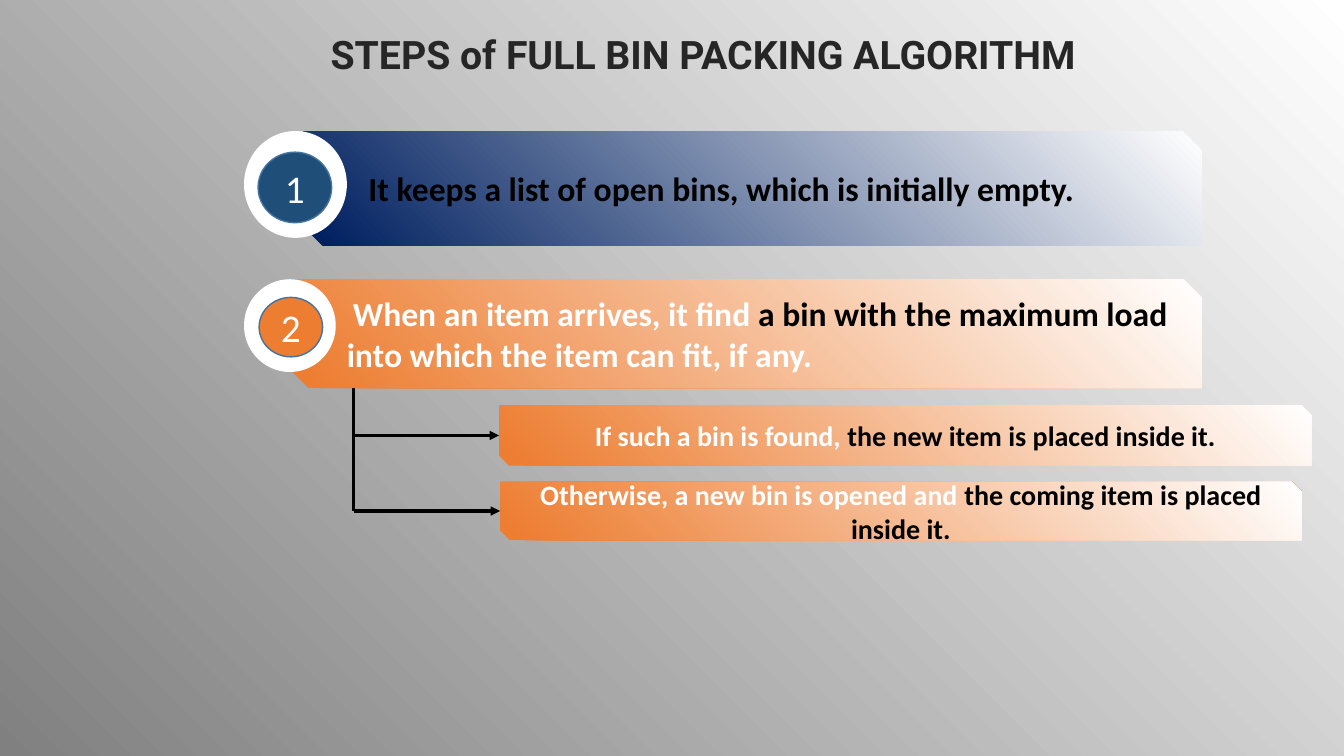
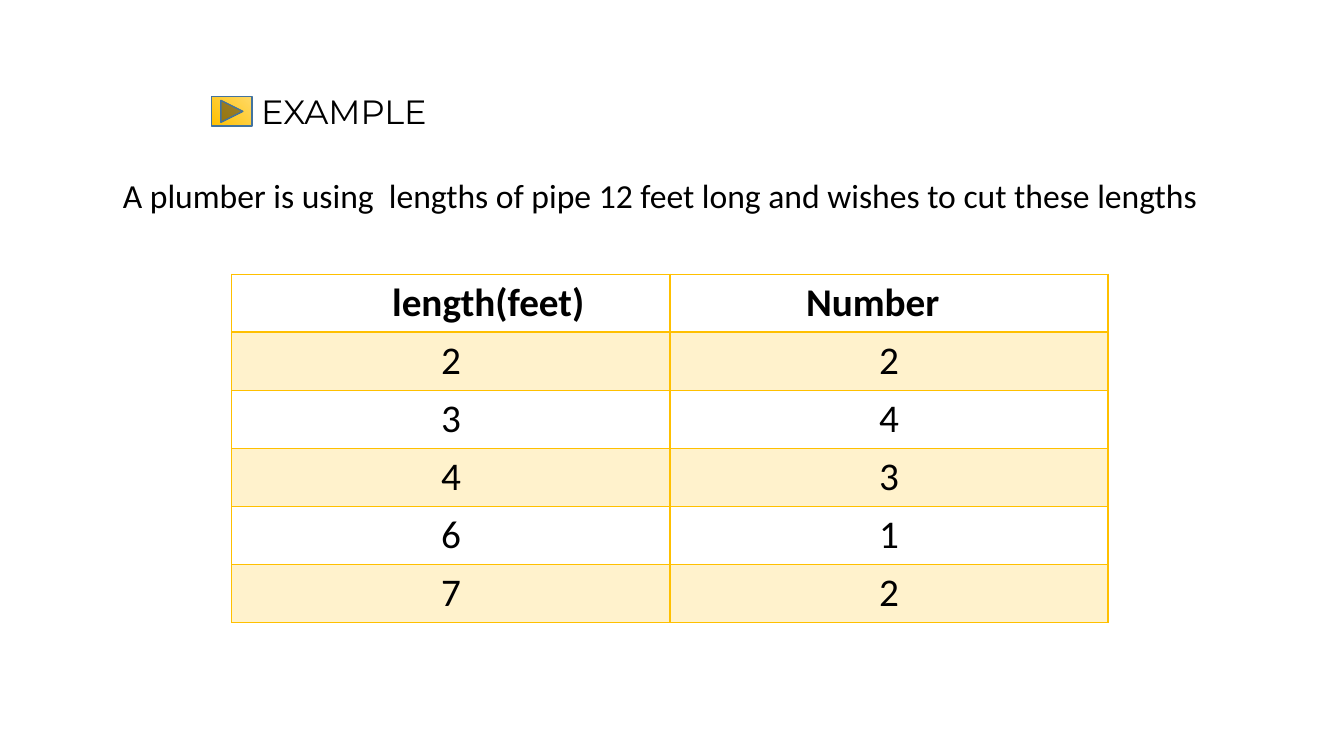
import dataclasses

import pptx
import pptx.dml.color
import pptx.enum.shapes
import pptx.enum.text
import pptx.oxml
import pptx.oxml.ns
import pptx.util

Inches = pptx.util.Inches
Pt = pptx.util.Pt
Shapes = pptx.enum.shapes.MSO_SHAPE
Align = pptx.enum.text.PP_ALIGN
Anchor = pptx.enum.text.MSO_ANCHOR


@dataclasses.dataclass(frozen=True)
class Theme:
    black: str = "000000"
    white: str = "FFFFFF"
    grey: str = "808080"
    heading: str = "262626"
    navy: str = "002060"
    blue: str = "1F4E79"
    outline: str = "43739E"
    orange: str = "ED7D31"
    gold: str = "FFC000"
    light_gold: str = "FFD966"
    pale_gold: str = "FFF2CC"
    body_font: str = "Calibri"
    heading_font: str = "Roboto"
    example_font: str = "Montserrat"
    large: int = 28
    medium: int = 24
    small: int = 20


def rgb(color):
    return pptx.dml.color.RGBColor.from_string(color)


class Deck:
    def __init__(self, theme):
        self.theme = theme
        self.presentation = pptx.Presentation()
        self.presentation.slide_width = Inches(13.33)
        self.presentation.slide_height = Inches(7.5)
        self.slide = None

    def new_slide(self):
        layout = self.presentation.slide_layouts[5]
        self.slide = self.presentation.slides.add_slide(layout)

    def gradient(self, fill, start, end, offset=0):
        fill.gradient()
        fill.gradient_angle = 45
        first, last = fill.gradient_stops
        first.color.rgb, first.position = rgb(start), offset
        last.color.rgb, last.position = rgb(end), 1

    def format_run(self, run, size, color, bold=False, font=None):
        run.font.name = font or self.theme.body_font
        run.font.size = Pt(size)
        run.font.bold = bold
        run.font.color.rgb = rgb(color)

    def title(self, text, box, size, color, font, bold=False):
        shape = self.slide.shapes.title
        shape.left, shape.top, shape.width, shape.height = map(Inches, box)
        self.fill_text(shape, text, size, color, font, bold)

    def text(self, text, box, size, color):
        shape = self.slide.shapes.add_textbox(*map(Inches, box))
        self.fill_text(shape, text, size, color)

    def fill_text(self, shape, text, size, color, font=None, bold=False):
        frame = shape.text_frame
        frame.text = text
        frame.word_wrap = True
        frame.auto_size = pptx.enum.text.MSO_AUTO_SIZE.NONE
        frame.vertical_anchor = Anchor.MIDDLE
        frame.paragraphs[0].alignment = Align.LEFT
        self.format_run(frame.paragraphs[0].runs[0], size, color, bold, font)

    def shape(self, kind, box, color, end_color=None, line=None, offset=0):
        shape = self.slide.shapes.add_shape(kind, *map(Inches, box))
        shape.shadow.inherit = False
        if end_color:
            self.gradient(shape.fill, color, end_color, offset)
        else:
            shape.fill.solid()
            shape.fill.fore_color.rgb = rgb(color)
        if line:
            shape.line.color.rgb = rgb(line)
            shape.line.width = Pt(1)
        else:
            shape.line.fill.background()
        return shape

    def bar(self, box, color, parts, size, text_inset=None):
        bar = self.shape(Shapes.SNIP_2_DIAG_RECTANGLE, box, color,
                         self.theme.white, offset=0.02)
        frame = bar.text_frame
        frame.word_wrap = True
        frame.vertical_anchor = Anchor.MIDDLE
        paragraph = frame.paragraphs[0]
        paragraph.alignment = Align.CENTER
        if text_inset is not None:
            paragraph.alignment = Align.LEFT
            frame.margin_left, frame.margin_right = Inches(text_inset), 0
            properties = paragraph._p.get_or_add_pPr()
            properties.set("indent", str(Inches(0.06)))
        for text, text_color in parts:
            run = paragraph.add_run()
            run.text = text
            self.format_run(run, size, text_color, bold=True)
        return bar

    def badge(self, number, ring_box, disc_box, color):
        theme = self.theme
        circle = Shapes.FLOWCHART_CONNECTOR
        self.shape(circle, ring_box, theme.white)
        disc = self.shape(circle, disc_box, color, line=theme.outline)
        frame = disc.text_frame
        frame.text = number
        frame.word_wrap = False
        frame.vertical_anchor = Anchor.MIDDLE
        frame.margin_left = frame.margin_right = 0
        frame.margin_top = frame.margin_bottom = 0
        frame.paragraphs[0].alignment = Align.CENTER
        self.format_run(frame.paragraphs[0].runs[0], theme.large, theme.white)

    def line(self, start, end, target=None):
        connector = self.slide.shapes.add_connector(
            pptx.enum.shapes.MSO_CONNECTOR.STRAIGHT,
            *map(Inches, (*start, *end)))
        connector.line.color.rgb = rgb(self.theme.black)
        connector.line.width = Pt(2.25)
        namespace = pptx.oxml.ns.nsdecls("a")
        if target is not None:
            connector.end_connect(target, 1)
            connector.line._get_or_add_ln().append(pptx.oxml.parse_xml(
                f'<a:tailEnd {namespace} type="triangle"/>'))
        connector._element.spPr.append(
            pptx.oxml.parse_xml(f"<a:effectLst {namespace}/>"))

    def borders(self, cell, widths):
        properties = cell._tc.get_or_add_tcPr()
        for index, (side, width) in enumerate(zip("LRTB", widths)):
            properties.insert(index, pptx.oxml.parse_xml(
                f'<a:ln{side} {pptx.oxml.ns.nsdecls("a")} w="{Pt(width)}">'
                f'<a:solidFill><a:srgbClr val="{self.theme.gold}"/>'
                f'</a:solidFill></a:ln{side}>'))

    def table(self, rows, box, header_insets):
        theme = self.theme
        table = self.slide.shapes.add_table(
            len(rows), len(rows[0]), *map(Inches, box)).table
        table.first_row = table.horz_banding = False
        for row_index, row in enumerate(rows):
            header = row_index == 0
            for column_index, text in enumerate(row):
                cell = table.cell(row_index, column_index)
                cell.text = text
                paragraph = cell.text_frame.paragraphs[0]
                paragraph.alignment = Align.LEFT if header else Align.CENTER
                self.format_run(paragraph.runs[0], theme.large, theme.black,
                                bold=header)
                if header:
                    cell.margin_left = Inches(header_insets[column_index])
                if row_index % 2:
                    cell.fill.solid()
                    cell.fill.fore_color.rgb = rgb(theme.pale_gold)
                else:
                    cell.fill.background()
                self.borders(cell, (1, 1, 2 if row_index == 1 else 1,
                                    2 if header else 1))


def build_steps(deck):
    theme = deck.theme
    deck.new_slide()
    deck.gradient(deck.slide.background.fill, theme.grey, theme.white)
    deck.title("STEPS of FULL BIN PACKING ALGORITHM", (3.18, 0.25, 8.08, 0.57),
               theme.large, theme.heading, theme.heading_font, bold=True)

    deck.bar((3.01, 1.3, 8.91, 1.14), theme.navy,
             [("It keeps a list of open bins, which is initially empty.",
               theme.black)], theme.medium, text_inset=0.49)
    deck.badge("1", (2.42, 1.3, 1.02, 1.06), (2.56, 1.51, 0.73, 0.7),
               theme.blue)
    deck.bar((2.88, 2.77, 9.04, 1.08), theme.orange,
             [("When an item arrives, it find ", theme.white),
              ("a bin with the maximum load ", theme.black),
              ("into which the item can fit, if any.", theme.white)],
             theme.medium, text_inset=0.47)
    deck.badge("2", (2.42, 2.77, 0.91, 0.92), (2.57, 2.95, 0.63, 0.59),
               theme.orange)

    trunk = 3.51
    outcomes = [
        ((4.95, 4.02, 8.06, 0.6), "If such a bin is found, ",
         "the new item is placed inside it."),
        ((4.96, 4.78, 7.95, 0.58), "Otherwise, a new bin is opened and ",
         "the coming item is placed inside it."),
    ]
    for box, condition, action in outcomes:
        bar = deck.bar(box, theme.orange,
                       [(condition, theme.white), (action, theme.black)],
                       theme.small)
        middle = box[1] + box[3] / 2
        deck.line((trunk, middle), (box[0], middle), bar)
    deck.line((trunk, 3.85), (trunk, middle))


def build_example(deck):
    theme = deck.theme
    deck.new_slide()
    deck.shape(Shapes.ACTION_BUTTON_FORWARD_OR_NEXT, (2.1, 0.96, 0.4, 0.29),
               theme.gold, theme.light_gold, line=theme.outline)
    deck.title("EXAMPLE", (2.49, 0.85, 3.91, 0.5), theme.medium, theme.black,
               theme.example_font)
    deck.text("A plumber is using  lengths of pipe 12 feet long and wishes "
              "to cut these lengths", (1.12, 1.69, 11.19, 0.5),
              theme.medium, theme.black)
    deck.table([("length(feet)", "Number"), ("2", "2"), ("3", "4"),
                ("4", "3"), ("6", "1"), ("7", "2")],
               (2.3, 2.72, 8.69, 3.4), header_insets=(1.59, 1.35))


def main():
    deck = Deck(Theme())
    build_steps(deck)
    build_example(deck)
    deck.presentation.save("out.pptx")


if __name__ == "__main__":
    main()
